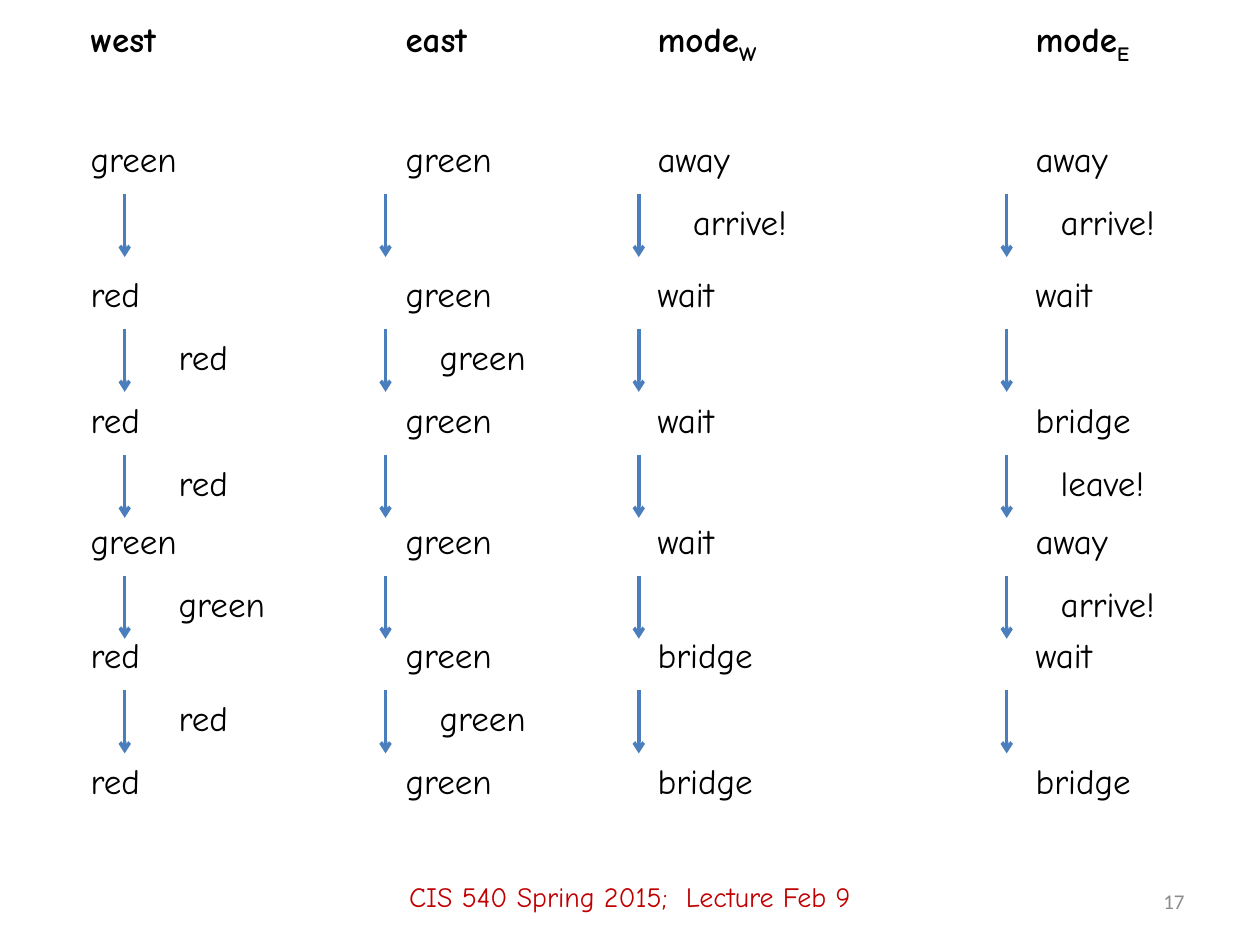
"""Build a slide tracing the states of two trains and their signals."""
from lxml.etree import SubElement
from pptx import Presentation
from pptx.dml.color import RGBColor
from pptx.enum.shapes import MSO_CONNECTOR
from pptx.enum.text import MSO_ANCHOR, PP_ALIGN
from pptx.oxml.ns import qn
from pptx.util import Inches, Pt

BLACK = RGBColor(0x00, 0x00, 0x00)
BLUE = RGBColor(0x4B, 0x7E, 0xBC)
RED = RGBColor(0xC0, 0x00, 0x00)
GRAY = RGBColor(0x8C, 0x8C, 0x8C)
TABS = (2.5, 4.5, 7.5)
ARROWS = (0.99, 3.06, 5.07, 7.99)
STEPS = [
    (1.04, ("green", "green", "away", "away"), ("", "", "arrive!", "arrive!")),
    (2.11, ("red", "green", "wait", "wait"), ("red", "green", "", "")),
    (3.11, ("red", "green", "wait", "bridge"), ("red", "", "", "leave!")),
    (4.07, ("green", "green", "wait", "away"), ("green", "", "", "arrive!")),
    (4.98, ("red", "green", "bridge", "wait"), ("red", "green", "", "")),
    (5.98, ("red", "green", "bridge", "bridge"), ()),
]

deck = Presentation()
deck.slide_width, deck.slide_height = Inches(10), Inches(7.5)
slide = deck.slides.add_slide(deck.slide_layouts[6])


def write(text, left, top, width, height, size=20, color=BLACK, face="Comic Neue", tabs=()):
    box = slide.shapes.add_textbox(Inches(left), Inches(top), Inches(width), Inches(height))
    box.text_frame.word_wrap = True
    para = box.text_frame.paragraphs[0]
    if tabs:
        stops = SubElement(para._p.get_or_add_pPr(), qn("a:tabLst"))
        for tab in tabs:
            SubElement(stops, qn("a:tab"), pos=str(Inches(tab)), algn="l")
    para.add_run().text = text
    para.font.size, para.font.name = Pt(size), face
    para.font.color.rgb = color
    return box.text_frame


def arrow(left, top):
    line = slide.shapes.add_connector(
        MSO_CONNECTOR.STRAIGHT, Inches(left), Inches(top), Inches(left), Inches(top + 0.5))
    line.line.color.rgb = BLUE
    line.line.width = Pt(2)
    SubElement(line.line._get_or_add_ln(), qn("a:tailEnd"), type="arrow")
    SubElement(line._element.spPr, qn("a:effectLst"))


head = write("west\teast\tmode", 0.62, 0.09, 8.52, 0.75, tabs=TABS).paragraphs[0]
head.font.bold = True
for text, shift in (("W", -25), ("\tmode", 0), ("E", -25)):
    run = head.add_run()
    run.text = text
    if shift:
        run.font._element.set("baseline", str(shift * 1000))

for top, states, notes in STEPS:
    write("\t".join(states), 0.62, top, 8.52, 0.75, tabs=TABS)
    for left, note in zip(ARROWS, notes):
        arrow(left, top + 0.5)
        if note:
            write(note, left + 0.33, top + 0.5, 1.33, 0.5)

foot = write("CIS 540 Spring 2015;  Lecture Feb 9", 0, 6.72, 10, 0.78, 16, RED)
page = write("17", 7.17, 6.95, 2.33, 0.4, 12, GRAY, "Calibri")
for frame, align in ((foot, PP_ALIGN.CENTER), (page, PP_ALIGN.RIGHT)):
    frame.vertical_anchor = MSO_ANCHOR.MIDDLE
    frame.paragraphs[0].alignment = align

deck.save("out.pptx")
